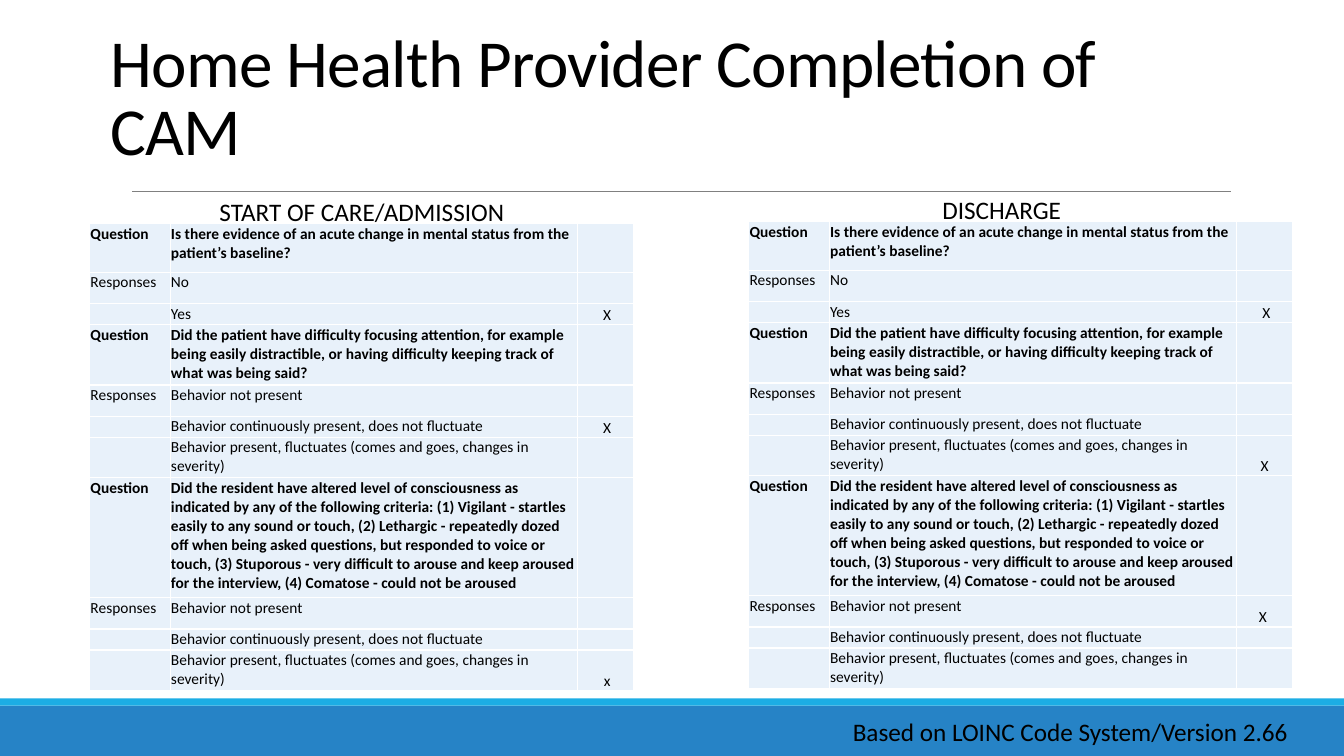
from lxml.etree import SubElement
from pptx import Presentation
from pptx.dml.color import RGBColor
from pptx.enum.shapes import MSO_CONNECTOR, MSO_SHAPE
from pptx.enum.text import MSO_ANCHOR, PP_ALIGN
from pptx.oxml.ns import qn
from pptx.util import Cm, Pt

FONT = "Calibri"
CELL_FILL = "E8F1FA"
COLUMN_WIDTHS = (2.03, 10.26, 1.42)
ONE_LINE, FIRST_RESPONSE, TWO_LINES = 0.53, 0.79, 1.02

BEHAVIOR_RESPONSES = [
    ("Behavior not present", FIRST_RESPONSE),
    ("Behavior continuously present, does not fluctuate", ONE_LINE),
    ("Behavior present, fluctuates (comes and goes, changes in severity)", TWO_LINES),
]
# Each entry: question, height of its row, responses with their row heights
QUESTIONS = [
    ("Is there evidence of an acute change in mental status from the patient’s baseline?",
     1.22, [("No", FIRST_RESPONSE), ("Yes", ONE_LINE)]),
    ("Did the patient have difficulty focusing attention, for example being easily "
     "distractible, or having difficulty keeping track of what was being said?",
     1.52, BEHAVIOR_RESPONSES),
    ("Did the resident have altered level of consciousness as indicated by any of the "
     "following criteria: (1) Vigilant - startles easily to any sound or touch, "
     "(2) Lethargic - repeatedly dozed off when being asked questions, but responded to "
     "voice or touch, (3) Stuporous - very difficult to arouse and keep aroused for the "
     "interview, (4) Comatose - could not be aroused",
     3.02, BEHAVIOR_RESPONSES),
]
# Marks by (question, response) position
ADMISSION_MARKS = {(0, 1): " X", (1, 1): " X", (2, 2): " x"}
DISCHARGE_MARKS = {(0, 1): " X", (1, 2): "X", (2, 0): "X "}


def color(value):
    return RGBColor.from_string(value)


def write_text(frame, text, size=18, bold=False, align=PP_ALIGN.LEFT,
               line_spacing=None, letter_spacing=None):
    para = frame.paragraphs[0]
    para.alignment = align
    para.line_spacing = line_spacing
    if not text:
        # An empty cell keeps its small text size, so its row does not grow
        SubElement(para._p, qn("a:endParaRPr")).set("sz", str(size * 100))
        return
    span = para.add_run()
    span.text = text
    span.font.name = FONT
    span.font.size = Pt(size)
    span.font.bold = bold
    span.font.color.rgb = color("000000")
    if letter_spacing is not None:
        span.font._element.set("spc", str(int(letter_spacing * 100)))


def add_text(page, left, top, width, height, text, wrap=True,
             anchor=MSO_ANCHOR.TOP, **text_format):
    box = page.shapes.add_textbox(Cm(left), Cm(top), Cm(width), Cm(height))
    box.text_frame.word_wrap = wrap
    box.text_frame.vertical_anchor = anchor
    write_text(box.text_frame, text, **text_format)


def add_band(page, top, height, fill):
    band = page.shapes.add_shape(MSO_SHAPE.RECTANGLE, 0, Cm(top), Cm(33.87), Cm(height))
    band.shadow.inherit = False
    band.fill.solid()
    band.fill.fore_color.rgb = color(fill)
    band.line.fill.background()


def add_rule(page, left, right, top):
    rule = page.shapes.add_connector(
        MSO_CONNECTOR.STRAIGHT, Cm(left), Cm(top), Cm(right), Cm(top))
    rule.line.color.rgb = color("808080")
    rule.line.width = Pt(0.5)
    SubElement(rule._element.spPr, qn("a:effectLst"))


def format_cell(cell):
    cell.margin_left = cell.margin_right = cell.margin_top = Cm(0.02)
    cell.margin_bottom = 0
    properties = cell._tc.get_or_add_tcPr()
    for side in ("a:lnL", "a:lnR", "a:lnT", "a:lnB"):
        border = SubElement(properties, qn(side), w=str(Pt(1)))
        fill = SubElement(border, qn("a:solidFill"))
        SubElement(fill, qn("a:srgbClr"), val="FFFFFF")
    cell.fill.solid()
    cell.fill.fore_color.rgb = color(CELL_FILL)


def assessment_rows(marks):
    """List the rows as (label, text, mark, height, bold)."""
    rows = []
    for number, (question, height, responses) in enumerate(QUESTIONS):
        rows.append(("Question", question, "", height, True))
        for position, (response, response_height) in enumerate(responses):
            label = "Responses" if position == 0 else ""
            mark = marks.get((number, position), "")
            rows.append((label, response, mark, response_height, False))
    return rows


def add_assessment(page, left, top, marks):
    rows = assessment_rows(marks)
    frame = page.shapes.add_table(
        len(rows), len(COLUMN_WIDTHS), Cm(left), Cm(top),
        Cm(sum(COLUMN_WIDTHS)), Cm(sum(row[3] for row in rows)))
    table = frame.table
    table.first_row = table.horz_banding = False
    for column, width in zip(table.columns, COLUMN_WIDTHS):
        column.width = Cm(width)
    for row, (label, text, mark, height, bold) in zip(table.rows, rows):
        row.height = Cm(height)
        for cell, content in zip(row.cells, (label, text, mark)):
            format_cell(cell)
            align = PP_ALIGN.LEFT
            if content and content == mark:
                align = PP_ALIGN.CENTER
                cell.vertical_anchor = MSO_ANCHOR.BOTTOM
            write_text(cell.text_frame, content, size=11, bold=bold, align=align)


def main():
    deck = Presentation()
    deck.slide_width, deck.slide_height = Cm(33.87), Cm(19.05)
    page = deck.slides.add_slide(deck.slide_layouts[6])

    # Footer bands and title rule
    add_band(page, 17.78, 1.27, "2683C6")
    add_band(page, 17.6, 0.18, "1CADE4")
    add_rule(page, 3.33, 31.01, 4.83)

    # Title
    add_text(page, 2.54, 0.36, 28.8, 4.04, "Home Health Provider Completion of CAM",
             anchor=MSO_ANCHOR.BOTTOM, size=48, line_spacing=0.85, letter_spacing=-0.5)

    # Assessments
    add_assessment(page, 2.26, 5.64, ADMISSION_MARKS)
    add_assessment(page, 18.87, 5.59, DISCHARGE_MARKS)

    # Table headings and footer text
    add_text(page, 5.28, 4.83, 7.75, 1.02, "START OF CARE/ADMISSION", wrap=False)
    add_text(page, 23.5, 4.78, 3.53, 1.02, "DISCHARGE", wrap=False)
    add_text(page, 20.68, 17.93, 12.73, 1.02,
             "Based on LOINC Code System/Version 2.66 ", align=PP_ALIGN.CENTER)

    deck.save("out.pptx")


if __name__ == "__main__":
    main()
